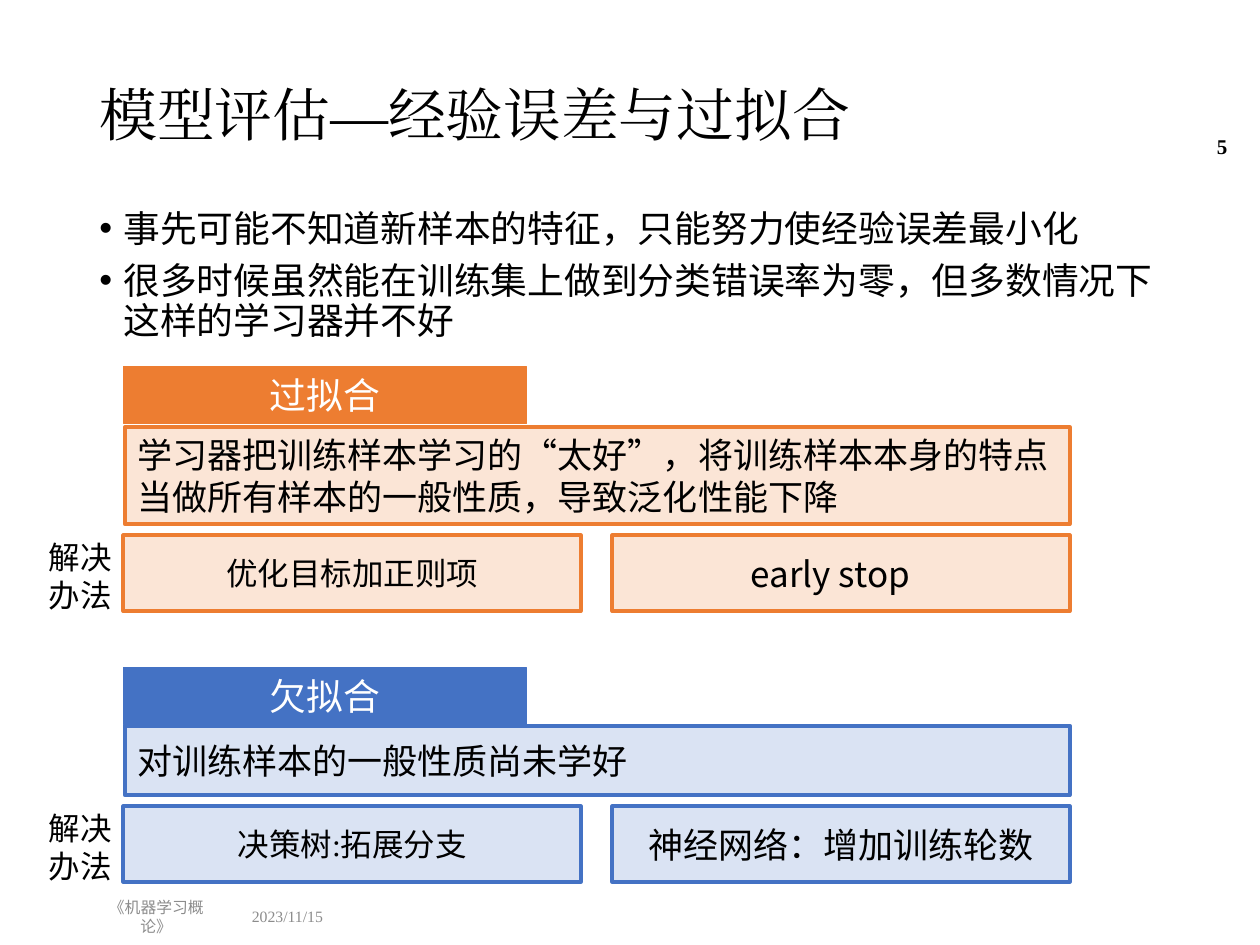
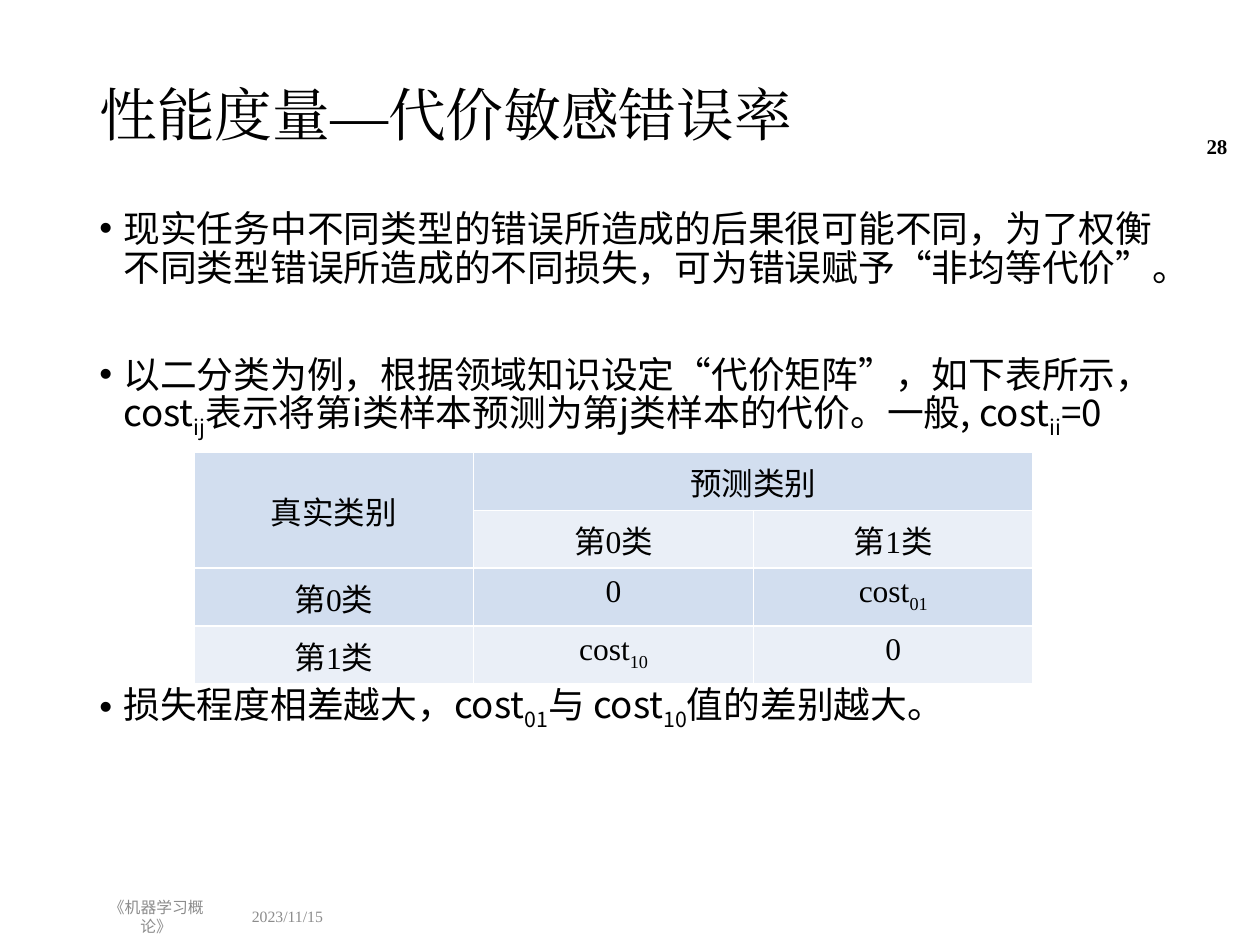
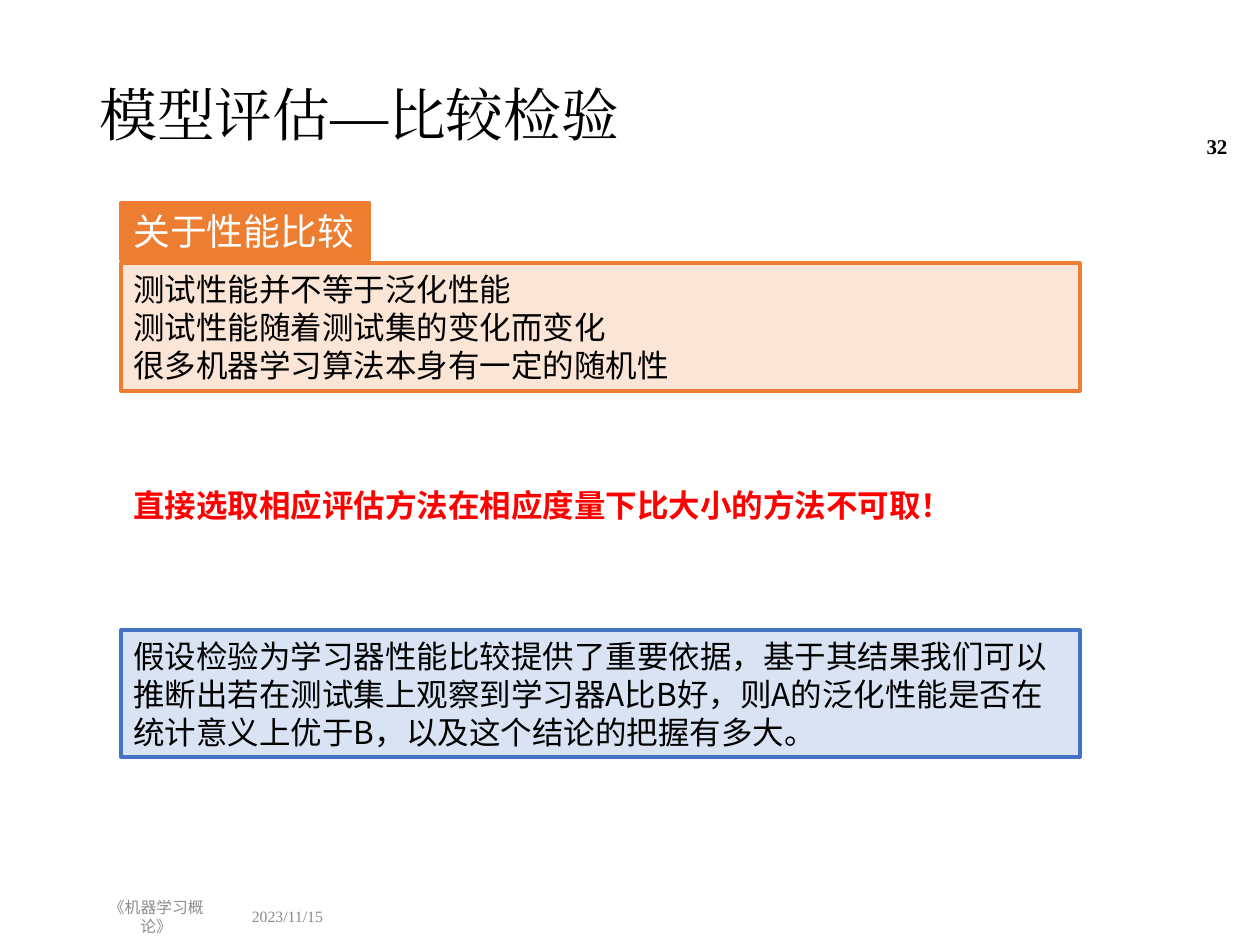
"""Build three machine learning slides on model evaluation."""
import pptx
import pptx.util
import pptx.dml.color
import pptx.enum.shapes
import pptx.enum.text
import pptx.oxml
import pptx.oxml.ns

Inches = pptx.util.Inches
Pt = pptx.util.Pt
RGBColor = pptx.dml.color.RGBColor
ALIGN = pptx.enum.text.PP_ALIGN
ANCHOR = pptx.enum.text.MSO_ANCHOR
RECT = pptx.enum.shapes.MSO_SHAPE.RECTANGLE

BLACK = RGBColor(0x00, 0x00, 0x00)
WHITE = RGBColor(0xFF, 0xFF, 0xFF)
GRAY = RGBColor(0x8C, 0x8C, 0x8C)
RED = RGBColor(0xFF, 0x00, 0x00)
ORANGE = RGBColor(0xED, 0x7D, 0x31)
PEACH = RGBColor(0xFB, 0xE5, 0xD6)
BLUE = RGBColor(0x44, 0x72, 0xC4)
PALE = RGBColor(0xDA, 0xE3, 0xF3)
BAND = RGBColor(0xD2, 0xDE, 0xEF)
LIGHT = RGBColor(0xEA, 0xEF, 0xF7)
SERIF = "Times New Roman"
SANS = "Noto Sans CJK SC"


def write(frame, lines, size, color=BLACK, face=SERIF, asian=SANS, bold=False, **form):
    """Fill a frame with lines; text between bars is subscript."""
    for num, line in enumerate(lines):
        para = frame.add_paragraph() if num else frame.paragraphs[0]
        for key, val in {"alignment": ALIGN.LEFT, **form}.items():
            setattr(para, key, val)
        for part, text in enumerate(line.split("|")):
            if not text:
                continue
            run = para.add_run()
            run.text = text
            for key, val in {"size": Pt(size), "name": face, "bold": bold}.items():
                setattr(run.font, key, val)
            run.font.color.rgb = color
            props = run.font._element
            east = pptx.oxml.parse_xml(
                f'<a:ea {pptx.oxml.ns.nsdecls("a")} typeface="{asian}"/>')
            props.find(pptx.oxml.ns.qn("a:latin")).addnext(east)
            if part % 2:
                props.set("baseline", "-25000")


def box(slide, place, lines, size, fill=None, edge=None, width=2.25,
        anchor=ANCHOR.MIDDLE, wrap=True, **form):
    """Add a text box, or a rectangle when a fill is given."""
    area = [Inches(num) for num in place]
    if fill is None:
        shape = slide.shapes.add_textbox(*area)
    else:
        shape = slide.shapes.add_shape(RECT, *area)
        shape.shadow.inherit = False
        shape.fill.solid()
        shape.fill.fore_color.rgb = fill
        shape.line.color.rgb = edge
        shape.line.width = Pt(width)
    frame = shape.text_frame
    for key, val in {"word_wrap": wrap, "vertical_anchor": anchor}.items():
        setattr(frame, key, val)
    write(frame, lines, size, **{"line_spacing": Pt(size * 1.2), **form})
    return shape


deck = pptx.Presentation()
deck.slide_width = Inches(10)
deck.slide_height = Inches(7.5)

slides = []
for title, page in (("模型评估—经验误差与过拟合", "5"),
                    ("性能度量—代价敏感错误率", "28"),
                    ("模型评估—比较检验", "32")):
    slide = deck.slides.add_slide(deck.slide_layouts[6])
    box(slide, (0.69, 0.4, 8.62, 1.07), [title], 33, asian=SERIF, line_spacing=0.9)
    box(slide, (1.9, 7.13, 0.91, 0.29), ["2023/11/15"], 9, color=GRAY)
    box(slide, (0.69, 7.13, 1.1, 0.29), ["《机器学习概论》"], 9, color=GRAY,
        alignment=ALIGN.CENTER)
    box(slide, (9.15, 0.96, 0.69, 0.4), [page], 12, bold=True, alignment=ALIGN.RIGHT)
    slides.append(slide)
fit, cost, test = slides

points = (
    (fit, ["事先可能不知道新样本的特征，只能努力使经验误差最小化",
           "很多时候虽然能在训练集上做到分类错误率为零，但多数情况下这样的学习器并不好"],
     SERIF, (22.5, 22.5), (0, 7.5)),
    (cost, ["现实任务中不同类型的错误所造成的后果很可能不同，为了权衡不同类型错误所造成的不同损失，可为错误赋予“非均等代价”。",
            "以二分类为例，根据领域知识设定“代价矩阵”，如下表所示，cost|ij|表示将第i类样本预测为第j类样本的代价。一般, cost|ii|=0",
            "损失程度相差越大，cost|01|与 cost|10|值的差别越大。"],
     SANS, (22.5, 25, 25), (0, 36, 142)))
for slide, lines, face, pitch, gaps in points:
    body = box(slide, (0.69, 1.62, 8.62, 5.39), lines, 21, face=face, anchor=ANCHOR.TOP)
    for para, step, gap in zip(body.text_frame.paragraphs, pitch, gaps):
        para.line_spacing = Pt(step)
        para.space_before = Pt(gap)
        props = para._p.get_or_add_pPr()
        props.set("marL", str(Inches(0.19)))
        props.set("indent", str(-Inches(0.19)))
        props.append(pptx.oxml.parse_xml(
            f'<a:buFont {pptx.oxml.ns.nsdecls("a")} typeface="Arial"/>'))
        props.append(pptx.oxml.parse_xml(
            f'<a:buChar {pptx.oxml.ns.nsdecls("a")} char="•"/>'))

groups = (
    (ORANGE, PEACH, "过拟合", 2.91, 3.39, 0.77, 4.25,
     "学习器把训练样本学习的“太好”，将训练样本本身的特点当做所有样本的一般性质，导致泛化性能下降",
     "优化目标加正则项", "early stop"),
    (BLUE, PALE, "欠拟合", 5.3, 5.76, 0.55, 6.4,
     "对训练样本的一般性质尚未学好", "决策树:拓展分支", "神经网络：增加训练轮数"))
for edge, fill, name, top, mid, tall, low, note, left, right in groups:
    box(fit, (0.99, mid, 7.5, tall), [note], 20, fill, edge, face=SANS)
    box(fit, (0.98, top, 3.2, 0.45), [name], 21, edge, edge, 0.75,
        color=WHITE, alignment=ALIGN.CENTER)
    box(fit, (0.98, low, 3.63, 0.6), [left], 18, fill, edge, alignment=ALIGN.CENTER)
    cure = box(fit, (4.86, low, 3.63, 0.6), [right], 20, fill, edge, face=SANS,
               alignment=ALIGN.CENTER)
    if right == "early stop":
        para = cure.text_frame.paragraphs[0]
        para.alignment = ALIGN.LEFT
        para._p.get_or_add_pPr().set("marL", str(Inches(1)))
    box(fit, (0.29, low - 0.03, 0.75, 0.71), ["解决办法"], 18, anchor=ANCHOR.TOP)

rows = (("真实类别", "预测类别", ""),
        ("", "第0类", "第1类"),
        ("第0类", "0", "cost|01|"),
        ("第1类", "cost|10|", "0"))
table = cost.shapes.add_table(4, 3, Inches(1.54), Inches(3.59),
                              Inches(6.66), Inches(1.84)).table
table.cell(0, 0).merge(table.cell(1, 0))
table.cell(0, 1).merge(table.cell(0, 2))
for col in table.columns:
    col.width = Inches(2.22)
for i, row in enumerate(rows):
    table.rows[i].height = Inches(0.46)
    for j, text in enumerate(row):
        cell = table.cell(i, j)
        cell.vertical_anchor = ANCHOR.MIDDLE if i < 2 else ANCHOR.TOP
        if text:
            write(cell.text_frame, [text], 18, alignment=ALIGN.CENTER)
        props = cell._tc.get_or_add_tcPr()
        for side in ("lnL", "lnR", "lnT", "lnB"):
            props.append(pptx.oxml.parse_xml(
                f'<a:{side} {pptx.oxml.ns.nsdecls("a")} w="12700"><a:solidFill>'
                f'<a:srgbClr val="{WHITE}"/></a:solidFill></a:{side}>'))
        cell.fill.solid()
        cell.fill.fore_color.rgb = LIGHT if i % 2 else BAND

box(test, (0.96, 2.09, 7.61, 1.01),
    ["测试性能并不等于泛化性能", "测试性能随着测试集的变化而变化", "很多机器学习算法本身有一定的随机性"],
    18, PEACH, ORANGE)
box(test, (0.96, 1.61, 1.97, 0.45), ["关于性能比较"], 21, ORANGE, ORANGE,
    wrap=False, color=WHITE)
box(test, (0.96, 3.81, 6.46, 0.4), ["直接选取相应评估方法在相应度量下比大小的方法不可取！"], 18,
    color=RED, face=SANS, bold=True)
box(test, (0.96, 5, 7.61, 1.01),
    ["假设检验为学习器性能比较提供了重要依据，基于其结果我们可以推断出若在测试集上观察到学习器A比B好，则A的泛化性能是否在统计意义上优于B，以及这个结论的把握有多大。"],
    18, PALE, BLUE, face=SANS)

deck.save("out.pptx")
